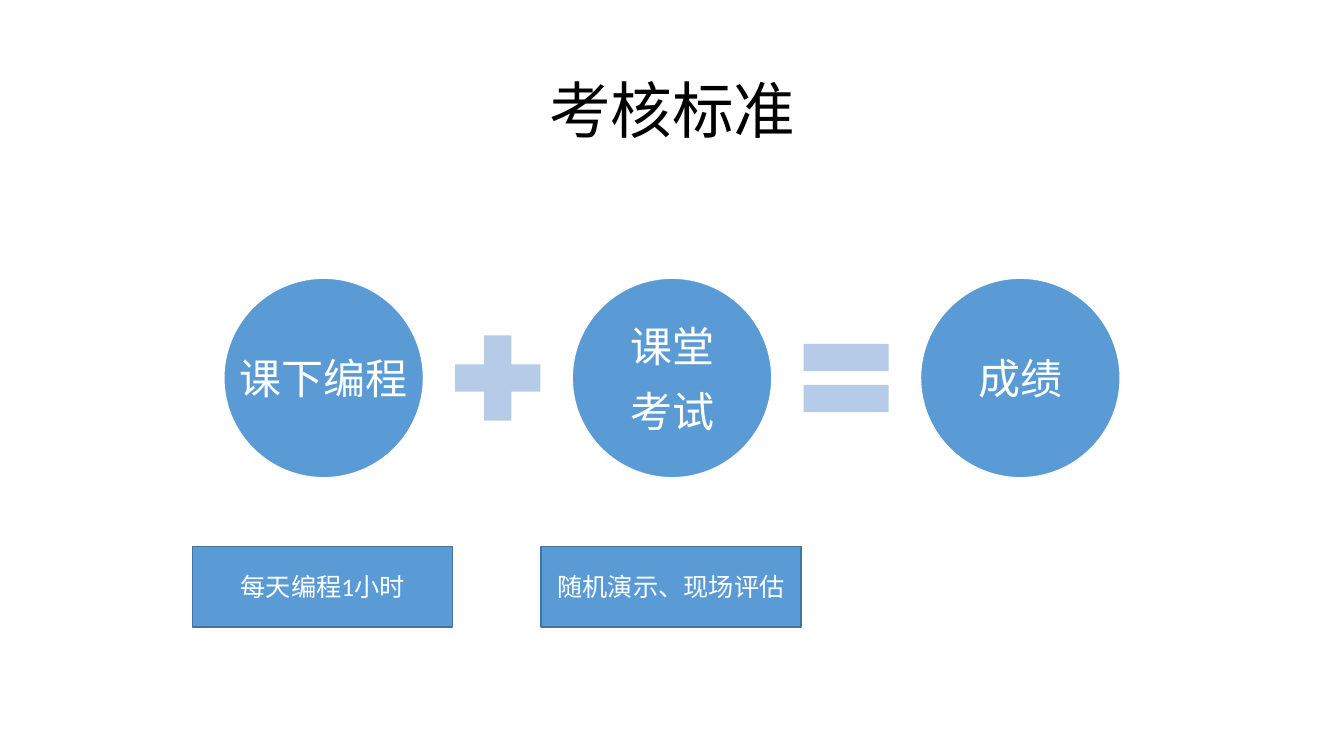
from pptx import Presentation
from pptx import util as u
from pptx.dml.color import RGBColor
from pptx.enum import shapes, text

WIDTH, HEIGHT = 13.33, 7.5
BLUE, PALE, EDGE = "5B9BD5", "B5CBE7", "43739E"
WHITE, BLACK = "FFFFFF", "000000"
PITCH = 3.455  # distance between neighbouring circles
SHAPE = shapes.MSO_SHAPE


def color(value):
    return RGBColor.from_string(value)


def write(shape, lines, size, ink, after=0, spacing=None):
    frame = shape.text_frame
    frame.text = "\n".join(lines)
    frame.vertical_anchor = text.MSO_ANCHOR.MIDDLE
    for para in frame.paragraphs:
        para.alignment = text.PP_ALIGN.CENTER
        para.space_after = u.Pt(after)
        para.line_spacing = spacing
        para.font.name = "Calibri"
        para.font.size = u.Pt(size)
        para.font.color.rgb = color(ink)


def add_block(page, kind, box, fill, line=None):
    shape = page.shapes.add_shape(kind, *map(u.Inches, box))
    shape.shadow.inherit = False
    shape.fill.solid()
    shape.fill.fore_color.rgb = color(fill)
    if line:
        shape.line.color.rgb = color(line)
        shape.line.width = u.Pt(1)
    else:
        shape.line.fill.background()
    return shape


def add_title(page, box):
    title = page.shapes.title
    title.left, title.top, title.width, title.height = map(u.Inches, box)
    write(title, ["考核标准"], 44, BLACK, spacing=0.9)


def add_equation(page, left, top, size):
    """Circles joined by a plus and an equals sign."""
    sign = 1.15
    terms = [["课下编程"], ["课堂", "考试"], ["成绩"]]
    signs = [SHAPE.MATH_PLUS, SHAPE.MATH_EQUAL]
    for column, lines in enumerate(terms):
        x = left + column * PITCH
        circle = add_block(page, SHAPE.OVAL, (x, top, size, size), BLUE, WHITE)
        write(circle, lines, 30, WHITE, after=10.5)
        circle.text_frame.word_wrap = False
        if column < len(signs):
            sign_x = x + (PITCH + size - sign) / 2
            sign_y = top + (size - sign) / 2
            add_block(page, signs[column], (sign_x, sign_y, sign, sign), PALE)


def add_notes(page, left, top, width, height):
    """Requirement boxes under the first two circles."""
    for column, note in enumerate(["每天编程1小时", "随机演示、现场评估"]):
        box = (left + column * PITCH, top, width, height)
        write(add_block(page, SHAPE.RECTANGLE, box, BLUE, EDGE), [note], 18, WHITE)


def main():
    deck = Presentation()
    deck.slide_width, deck.slide_height = u.Inches(WIDTH), u.Inches(HEIGHT)
    page = deck.slides.add_slide(deck.slide_layouts[5])
    add_title(page, (0.92, 0.4, 11.5, 1.45))
    add_equation(page, 2.22, 2.76, 1.98)
    add_notes(page, 1.91, 5.42, 2.58, 0.8)
    deck.save("out.pptx")


if __name__ == "__main__":
    main()
